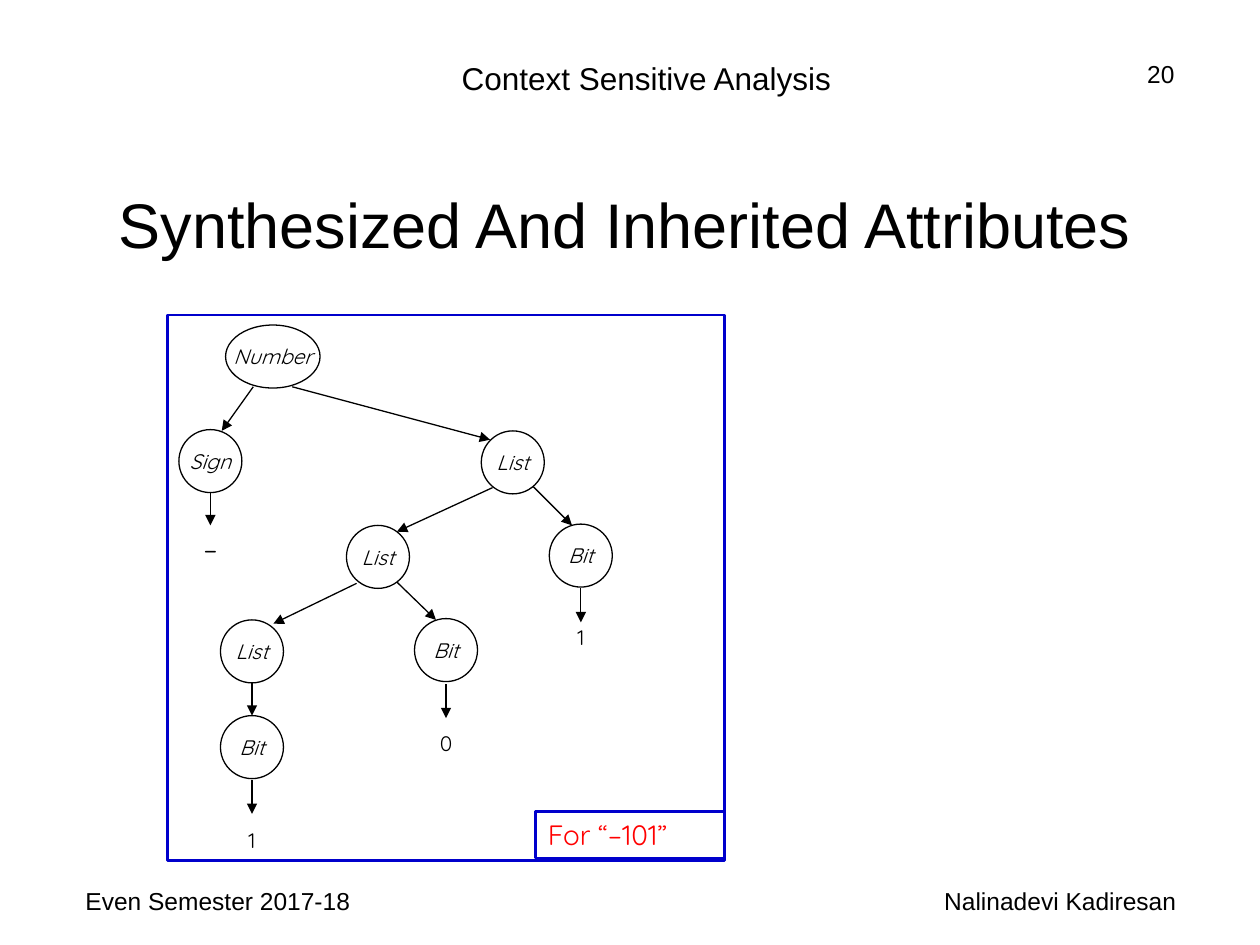
from lxml import etree
from pptx import Presentation
from pptx.dml.color import RGBColor
from pptx.enum import shapes, text
from pptx.oxml import ns
from pptx.util import Inches, Pt

BLACK = RGBColor(0, 0, 0)
BLUE = RGBColor(0, 0, 0xCC)
RED = RGBColor(0xFF, 0, 0)
LEFT, MID, RIGHT = text.PP_ALIGN.LEFT, text.PP_ALIGN.CENTER, text.PP_ALIGN.RIGHT


def write(shape, words, size, face="Arial", align=MID, color=BLACK):
    frame = shape.text_frame
    frame.text = words
    frame.word_wrap = True
    para = frame.paragraphs[0]
    para.alignment = align
    para.space_before = Pt(0)
    font = para.runs[0].font
    font.size, font.name = Pt(size), face
    font.color.rgb = color
    return frame


def outline(kind, box, color, width):
    shape = slide.shapes.add_shape(kind, *map(Inches, box))
    shape.shadow.inherit = False
    shape.fill.background()
    shape.line.color.rgb = color
    shape.line.width = Pt(width)
    return shape


deck = Presentation()
deck.slide_width, deck.slide_height = Inches(10), Inches(7.5)
slide = deck.slides.add_slide(deck.slide_layouts[5])

# Title
title = slide.shapes.title
title.left, title.top = Inches(0.25), Inches(1.33)
title.width, title.height = Inches(9.42), Inches(0.88)
write(title, "Synthesized And Inherited Attributes", 36)
title.text_frame.vertical_anchor = text.MSO_ANCHOR.MIDDLE

# Header, footer and leaf labels
labels = [
    ("Context Sensitive Analysis", 1.42, 0.42, 7.42, 0.4, 18, "Arial", MID),
    ("20", 7.67, 0.42, 1.75, 0.52, 14, "Arial", RIGHT),
    ("Even Semester 2017-18", 0.58, 6.98, 2.33, 0.52, 14, "Arial", LEFT),
    ("Nalinadevi Kadiresan", 6.83, 6.98, 3.17, 0.52, 14, "Arial", MID),
    ("–", 1.42, 4.17, 0.5, 0.37, 16, "Quicksand", MID),
    ("1", 4.4, 4.91, 0.42, 0.3, 12, "Quicksand", MID),
    ("0", 3.33, 5.75, 0.42, 0.3, 12, "Quicksand", MID),
    ("1", 1.85, 6.52, 0.3, 0.3, 12, "Quicksand", MID),
]
for words, x, y, w, h, size, face, align in labels:
    box = slide.shapes.add_textbox(Inches(x), Inches(y), Inches(w), Inches(h))
    write(box, words, size, face, align)

# Tree nodes: name, left, top, width
nodes = [
    ("Number", 1.79, 2.58, 0.75),
    ("Sign", 1.42, 3.41, 0.5),
    ("List", 3.82, 3.42, 0.5),
    ("Bit", 4.36, 4.16, 0.5),
    ("List", 2.75, 4.17, 0.5),
    ("Bit", 3.29, 4.91, 0.5),
    ("List", 1.75, 4.92, 0.5),
    ("Bit", 1.75, 5.68, 0.5),
]
for name, x, y, w in nodes:
    node = outline(shapes.MSO_SHAPE.OVAL, (x, y, w, 0.5), BLACK, 0.75)
    frame = write(node, name, 12, "Quicksand")
    frame.word_wrap = False
    frame.vertical_anchor = text.MSO_ANCHOR.MIDDLE
    frame.paragraphs[0].runs[0].font.italic = True

# Arrows from parent to child: x1, y1, x2, y2
arrows = [
    (2.01, 3.07, 1.76, 3.42), (2.32, 3.07, 3.89, 3.49),
    (4.23, 3.86, 4.54, 4.17), (3.91, 3.87, 3.15, 4.22),
    (3.15, 4.62, 3.46, 4.92), (2.83, 4.63, 2.17, 4.95),
    (1.67, 3.91, 1.67, 4.17), (4.61, 4.67, 4.61, 4.94),
    (3.54, 5.43, 3.54, 5.7), (2, 5.42, 2, 5.68), (2, 6.19, 2, 6.46),
]
for ends in arrows:
    arrow = slide.shapes.add_connector(shapes.MSO_CONNECTOR.STRAIGHT, *map(Inches, ends))
    arrow.line.color.rgb = BLACK
    arrow.line.width = Pt(0.75)
    etree.SubElement(arrow.line._get_or_add_ln(), ns.qn("a:tailEnd"), type="triangle")
    etree.SubElement(arrow._element.spPr, ns.qn("a:effectLst"))

# Frame and caption
outline(shapes.MSO_SHAPE.RECTANGLE, (1.33, 2.5, 4.42, 4.33), BLUE, 1.5)
note = outline(shapes.MSO_SHAPE.RECTANGLE, (4.25, 6.44, 1.5, 0.37), BLUE, 1.5)
frame = write(note, "For “–101”", 16, "Quicksand", LEFT, RED)
frame.vertical_anchor = text.MSO_ANCHOR.TOP

deck.save("out.pptx")
